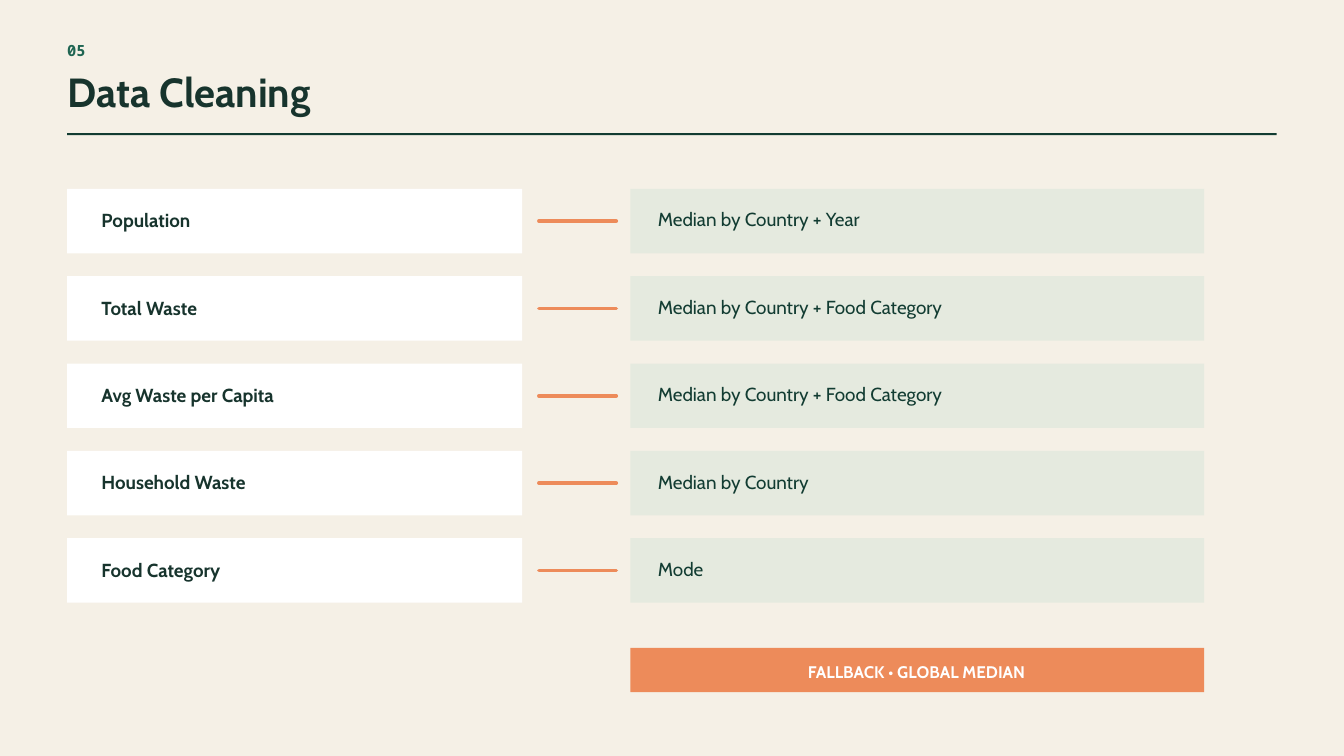
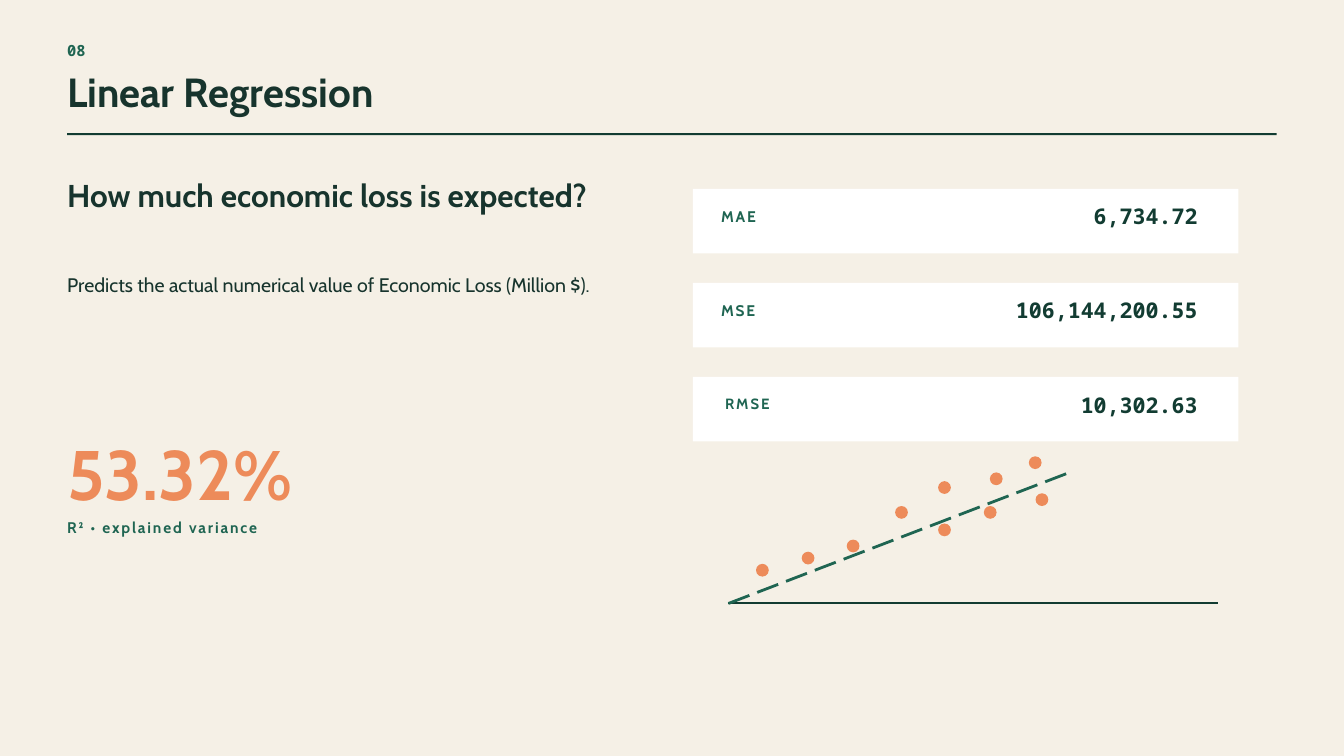
from lxml.etree import SubElement
from pptx import Presentation
from pptx.dml.color import RGBColor
from pptx.enum.dml import MSO_LINE
from pptx.enum.shapes import MSO_CONNECTOR, MSO_SHAPE
from pptx.enum.text import MSO_AUTO_SIZE, PP_ALIGN
from pptx.oxml.ns import qn
from pptx.util import Inches, Pt

COLORS = {
    "paper": "F5F0E6", "ink": "17342D", "forest": "123C32", "green": "1F6552",
    "sage": "E5EADF", "orange": "ED8B5A", "white": "FFFFFF",
}
SANS, MONO = "Cabin", "Noto Sans Mono"


def add_text(slide, text, box, size, leading, color, bold=True, font=SANS,
             align=PP_ALIGN.LEFT, tracking=0):
    frame = slide.shapes.add_textbox(*map(Inches, box)).text_frame
    frame.margin_left = frame.margin_right = frame.margin_top = frame.margin_bottom = 0
    frame.word_wrap = True
    frame.auto_size = MSO_AUTO_SIZE.SHAPE_TO_FIT_TEXT
    paragraph = frame.paragraphs[0]
    paragraph.text = text
    paragraph.alignment = align
    paragraph.line_spacing = Pt(leading)
    paragraph.font.name = font
    paragraph.font.size = Pt(size)
    paragraph.font.bold = bold
    paragraph.font.color.rgb = RGBColor.from_string(COLORS[color])
    if tracking:
        paragraph.runs[0]._r.get_or_add_rPr().set("spc", str(round(tracking * 100)))


def add_block(slide, box, color, outline=MSO_SHAPE.RECTANGLE):
    block = slide.shapes.add_shape(outline, *map(Inches, box))
    block.shadow.inherit = False
    block.fill.solid()
    block.fill.fore_color.rgb = RGBColor.from_string(COLORS[color])
    block.line.fill.background()


deck = Presentation()
deck.slide_width, deck.slide_height = Inches(20), Inches(11.25)

# Shared background, section number, title and rule
sections = []
for number, title in (("05", "Data Cleaning"), ("08", "Linear Regression")):
    section = deck.slides.add_slide(deck.slide_layouts[6])
    section.background.fill.solid()
    section.background.fill.fore_color.rgb = RGBColor.from_string(COLORS["paper"])
    add_text(section, number, (1, 0.57, 0.73, 0.3), 16.5, 23.1, "green", font=MONO)
    add_text(section, title, (1, 1.07, 15.62, 0.67), 43.5, 47, "ink")
    add_block(section, (1, 1.98, 18, 0.03), "forest")
    sections.append(section)
cleaning, regression = sections

CARD_TOP, CARD_HEIGHT = 2.81, 0.96
lines = []  # slide, start, end, color, width, dash, cap

# Data cleaning: each column and how its gaps are filled
imputations = (
    ("Population", "Median by Country + Year"),
    ("Total Waste", "Median by Country + Food Category"),
    ("Avg Waste per Capita", "Median by Country + Food Category"),
    ("Household Waste", "Median by Country"),
    ("Food Category", "Mode"),
)
for row, (column, method) in enumerate(imputations):
    top = CARD_TOP + 1.3 * row
    middle = top + CARD_HEIGHT / 2
    add_block(cleaning, (1, top, 6.77, CARD_HEIGHT), "white")
    add_text(cleaning, column, (1.51, top + 0.24, 4.69, 0.36), 20.2, 28.4, "ink")
    add_block(cleaning, (9.38, top, 8.54, CARD_HEIGHT), "sage")
    add_text(cleaning, method, (9.79, top + 0.23, 6.77, 0.37), 20.2, 28.4, "forest",
             bold=False)
    lines.append((cleaning, (8.02, middle), (9.17, middle), "orange", 4, None, "rnd"))

# Fallback bar
add_block(cleaning, (9.38, 9.64, 8.54, 0.66), "orange")
add_text(cleaning, "FALLBACK • GLOBAL MEDIAN", (9.6, 9.79, 8.08, 0.33), 18, 25.2,
         "white", align=PP_ALIGN.CENTER)

# Regression: question and explained variance
add_text(regression, "How much economic loss is expected?", (1, 2.53, 8.85, 0.62),
         33.8, 47.2, "ink")
add_text(regression, "Predicts the actual numerical value of Economic Loss (Million $).",
         (1, 4.02, 8.12, 0.77), 21, 28.4, "ink", bold=False)
add_text(regression, "53.32%", (1, 6.2, 5.21, 1.41), 75, 105, "orange")
add_text(regression, "R² • explained variance", (1, 7.67, 5.21, 0.31), 16.5, 23.1,
         "green", tracking=2)

# Regression: error metrics
metrics = (
    ("MAE", "6,734.72", 10.73, 16.5),
    ("MSE", "106,144,200.55", 10.73, 16.5),
    ("RMSE", "10,302.63", 10.79, 15.9),
)
for row, (metric, score, left, size) in enumerate(metrics):
    top = CARD_TOP + 1.4 * row
    add_block(regression, (10.31, top, 8.12, CARD_HEIGHT), "white")
    add_text(regression, metric, (left, top + 0.22, 1.77, 0.3), size, size * 1.4, "green",
             tracking=2)
    add_text(regression, score, (12.92, top + 0.15, 4.9, 0.42), 23.2, 32.5, "forest",
             font=MONO, align=PP_ALIGN.RIGHT)

# Regression: scattered observations around the fitted line
DOT = 0.19
observations = (
    (11.25, 8.39), (11.93, 8.21), (12.6, 8.03), (13.32, 7.53), (13.96, 7.16),
    (14.73, 7.03), (13.96, 7.79), (15.41, 7.34), (15.31, 6.79), (14.64, 7.53),
)
for left, top in observations:
    add_block(regression, (left, top, DOT, DOT), "orange", MSO_SHAPE.OVAL)

origin = (10.84, 8.98)
lines += [
    (regression, origin, (18.13, 8.98), "forest", 2.25, None, "flat"),
    (regression, origin, (15.97, 7.01), "green", 3, MSO_LINE.LONG_DASH, "flat"),
]

# Row links, axis and fitted line
for slide, start, end, color, width, dash, cap in lines:
    link = slide.shapes.add_connector(MSO_CONNECTOR.STRAIGHT, *map(Inches, start + end))
    link.line.color.rgb = RGBColor.from_string(COLORS[color])
    link.line.width = Pt(width)
    if dash:
        link.line.dash_style = dash
    link.line._get_or_add_ln().set("cap", cap)
    SubElement(link._element.spPr, qn("a:effectLst"))

deck.save("out.pptx")
